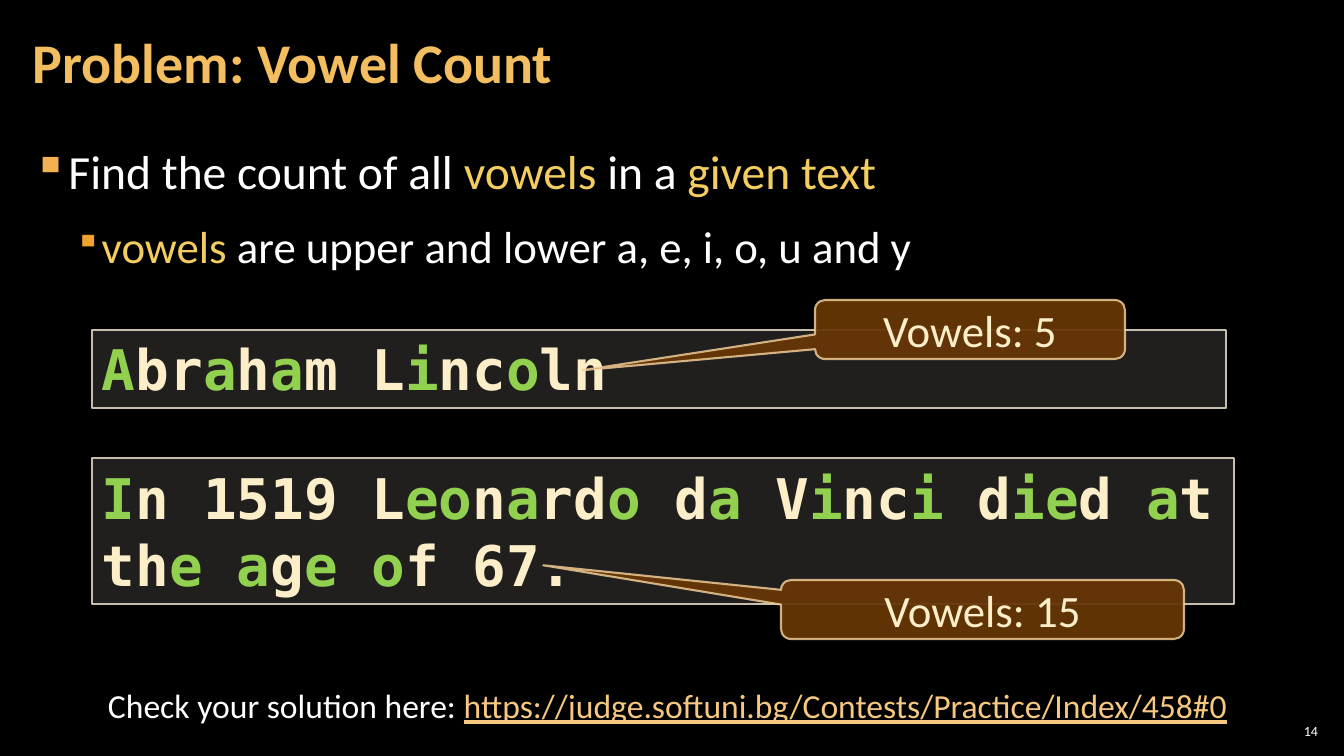
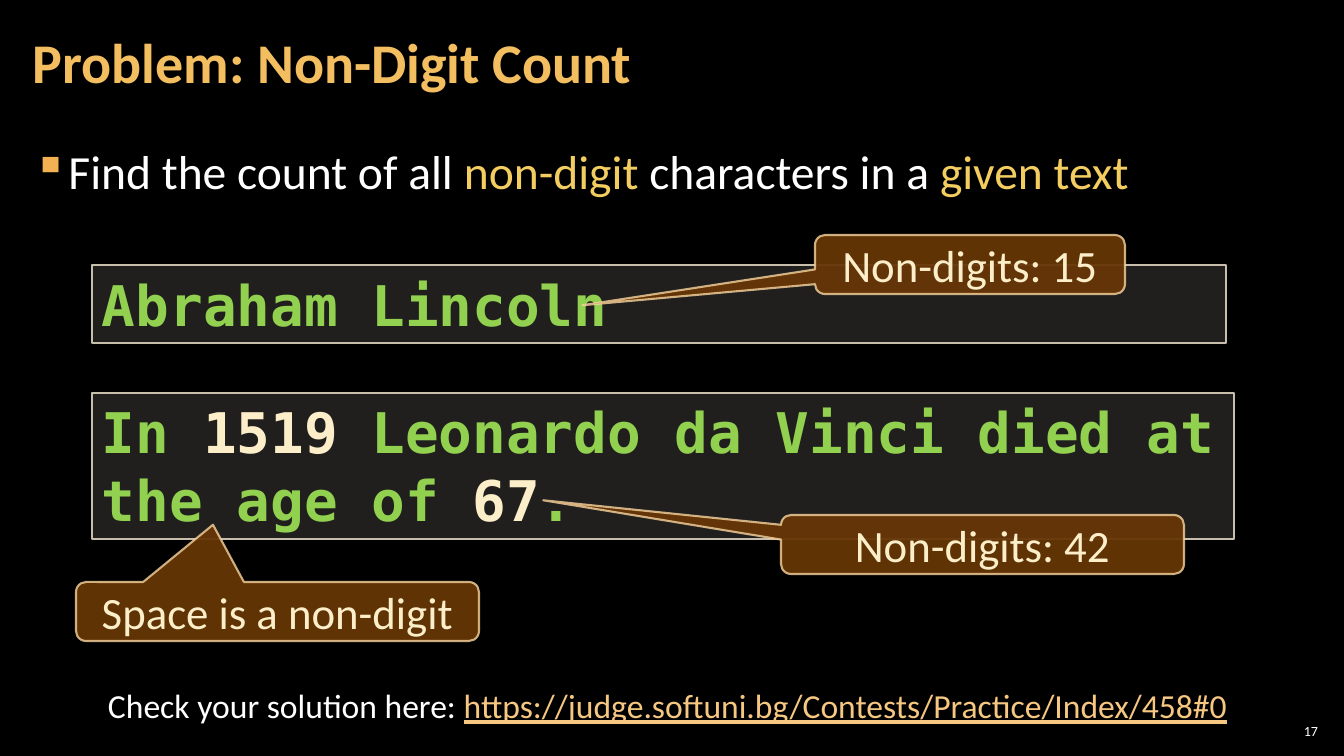
from itertools import groupby

from lxml.etree import SubElement
from pptx import Presentation
from pptx.dml.color import RGBColor
from pptx.enum.shapes import MSO_SHAPE
from pptx.enum.text import MSO_ANCHOR, PP_ALIGN
from pptx.oxml.ns import qn
from pptx.util import Pt

# Text between stars is set in the mark colour.
CHECK = "Check your solution here: *https://judge.softuni.bg/Contests/Practice/Index/458#0*"
NAME = "Abraham Lincoln"
FACT = "In 1519 Leonardo da Vinci died at the age of 67."

SLIDES = [
    {
        "title": "Problem: Vowel Count",
        "page": "14",
        "points": [
            (0, "Find the count of all *vowels* in a *given text*"),
            (1, "*vowels* are upper and lower a, e, i, o, u and y"),
        ],
        "top": 330,
        "test": lambda char: char.lower() in "aeiouy",
        "notes": ["Vowels: 5", "Vowels: 15"],
    },
    {
        "title": "Problem: Non-Digit Count",
        "page": "17",
        "points": [(0, "Find the count of all *non-digit* characters in a *given text*")],
        "top": 265,
        "test": lambda char: not char.isdigit(),
        "notes": ["Non-digits: 15", "Non-digits: 42", "Space is a non-digit"],
    },
]


class Theme:
    font, mono = "Calibri", "DejaVu Sans Mono"
    back, white, gold = "000000", "FFFFFF", "F3BE60"
    mark, link, cream, green = "F3CD60", "F6C781", "FBEEC9", "92D050"
    code_fill, code_line = "D9D5C7", "C7BFAC"
    note_fill, note_line = "663606", "F8D49E"
    title, code, note, foot, page = 40, 40, 32, 24, 10
    # size, left indent, hang, bullet colour, bullet percent
    levels = [(34, 33, 33, "F2B254", 100), (32, 67, 25, "F0A22E", 80)]


PX = 914400 / 100.8
WIDE, HIGH = 1344, 756
TITLE = (21, 4, 1055, 122)
BODY = (21, 135, 1301, 606)
FOOT = (84, 680, 1167, 50)
PAGE = (1275, 720, 47, 21)
PAD = (12, 4, 12, 4)

# left, offset from the first code box, width, height
CODES = [(NAME, (92, 0, 1134, 78)), (FACT, (92, 128, 1142, 146))]
NOTES = [
    ((815, -30, 310, 59), (-1.25, 0.69, 0.17)),
    ((781, 250, 403, 59), (-1.09, -0.75, 0.17)),
    ((76, 317, 403, 59), (-0.16, -1.47, 0.17)),
]


def px(size):
    return round(size * PX)


def place(box):
    return [px(side) for side in box]


def rgb(code):
    return RGBColor.from_string(code)


def star(text, test):
    """Put stars round each run of characters that pass the test."""
    parts = [(hit, "".join(run)) for hit, run in groupby(text, test)]
    return "".join(f"*{part}*" if hit else part for hit, part in parts)


def write(para, text, size, color, mark=None, font=Theme.font, bold=False,
          line=False, align=PP_ALIGN.LEFT):
    """Add text; starred parts take the mark colour and, with line, an underline."""
    para.alignment = align
    for i, part in enumerate(text.split("*")):
        if not part:
            continue
        hit = i % 2 == 1
        run = para.add_run()
        run.text = part
        face = run.font
        face.name, face.size, face.bold = font, Pt(size), bold
        face.color.rgb = rgb(mark if hit else color)
        if line and hit:
            face.underline = True


def frame(shape, anchor=MSO_ANCHOR.TOP, pad=(10, 5, 10, 5)):
    area = shape.text_frame
    area.word_wrap = True
    area.vertical_anchor = anchor
    (area.margin_left, area.margin_top,
     area.margin_right, area.margin_bottom) = place(pad)
    return area


def label(slide, box, **fmt):
    return frame(slide.shapes.add_textbox(*place(box)), **fmt)


def panel(slide, kind, box, fill, line, width, alphas):
    """Add a shape whose fill and line are opaque to the given percents."""
    shape = slide.shapes.add_shape(kind, *place(box))
    shape.shadow.inherit = False
    shape.fill.solid()
    shape.fill.fore_color.rgb = rgb(fill)
    shape.line.color.rgb = rgb(line)
    shape.line.width = Pt(width)
    tints = shape._element.spPr.iter(qn("a:srgbClr"))
    for tint, alpha in zip(list(tints), alphas):
        SubElement(tint, qn("a:alpha"), val=str(alpha * 1000))
    return shape


def bullet(para, left, hang, color, share):
    props = para._p.get_or_add_pPr()
    props.set("marL", str(px(left)))
    props.set("indent", str(-px(hang)))
    tint = SubElement(props, qn("a:buClr"))
    SubElement(tint, qn("a:srgbClr"), val=color)
    SubElement(props, qn("a:buSzPct"), val=str(share * 1000))
    SubElement(props, qn("a:buChar"), char="▪")


def list_points(slide, points):
    area = label(slide, BODY, pad=PAD)
    for i, (level, text) in enumerate(points):
        para = area.add_paragraph() if i else area.paragraphs[0]
        size, *marks = Theme.levels[level]
        para.level = level
        para.line_spacing = 1.05
        para.space_before = Pt(6 if i else 0)
        para.space_after = Pt(6)
        bullet(para, *marks)
        write(para, text, size, Theme.white, mark=Theme.mark)


def add_code(slide, text, box):
    shape = panel(slide, MSO_SHAPE.RECTANGLE, box, Theme.code_fill,
                  Theme.code_line, 1, (15, 100))
    write(frame(shape).paragraphs[0], text, Theme.code, Theme.cream,
          mark=Theme.green, font=Theme.mono, bold=True)


def add_note(slide, text, box, tip):
    shape = panel(slide, MSO_SHAPE.ROUNDED_RECTANGULAR_CALLOUT, box,
                  Theme.note_fill, Theme.note_line, 1.5, (95, 80))
    for i, value in enumerate(tip):
        shape.adjustments[i] = value
    area = frame(shape, anchor=MSO_ANCHOR.MIDDLE)
    write(area.paragraphs[0], text, Theme.note, Theme.cream, align=PP_ALIGN.CENTER)


def add_base(slide, title, page):
    """Add the parts that every slide has: page number, title and footer."""
    area = label(slide, PAGE, anchor=MSO_ANCHOR.MIDDLE, pad=(4, 4, 4, 4))
    write(area.paragraphs[0], page, Theme.page, Theme.white, align=PP_ALIGN.RIGHT)
    head = label(slide, TITLE, anchor=MSO_ANCHOR.MIDDLE, pad=PAD).paragraphs[0]
    head.line_spacing = 0.9
    write(head, title, Theme.title, Theme.gold, bold=True)
    write(label(slide, FOOT).paragraphs[0], CHECK, Theme.foot, Theme.white,
          mark=Theme.link, line=True, align=PP_ALIGN.CENTER)


def main():
    deck = Presentation()
    deck.slide_width, deck.slide_height = px(WIDE), px(HIGH)
    back = deck.slide_master.background.fill
    back.solid()
    back.fore_color.rgb = rgb(Theme.back)
    for data in SLIDES:
        slide = deck.slides.add_slide(deck.slide_layouts[6])
        add_base(slide, data["title"], data["page"])
        list_points(slide, data["points"])

        def lower(box):
            left, top, *size = box
            return (left, top + data["top"], *size)

        for text, box in CODES:
            add_code(slide, star(text, data["test"]), lower(box))
        for text, (box, tip) in zip(data["notes"], NOTES):
            add_note(slide, text, lower(box), tip)
    deck.save("out.pptx")


if __name__ == "__main__":
    main()
